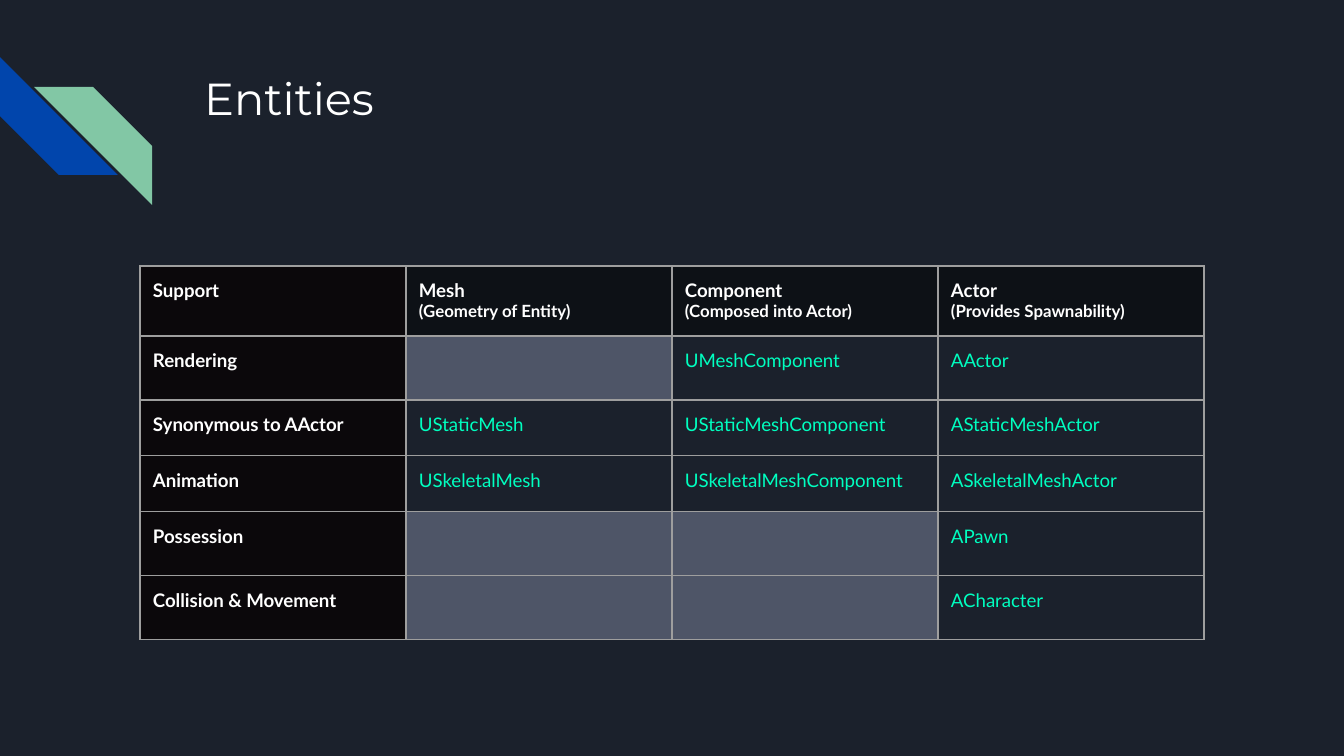
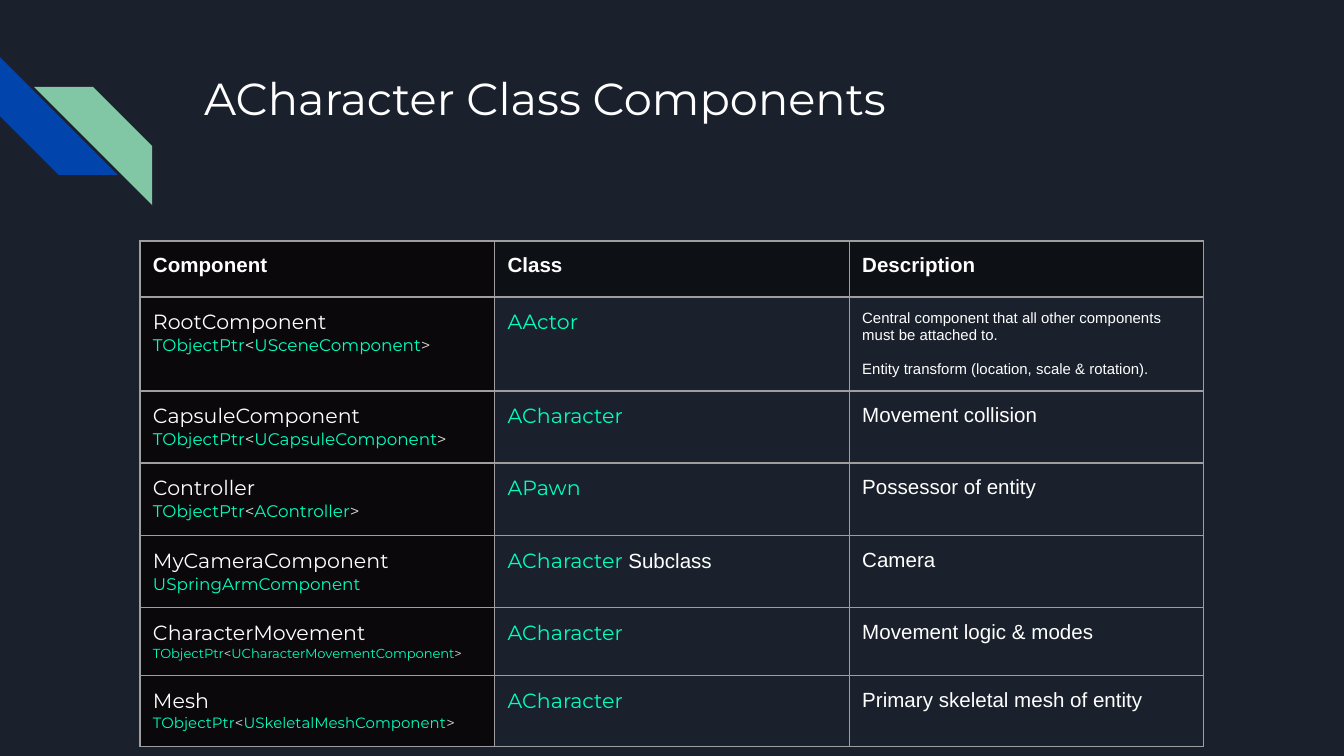
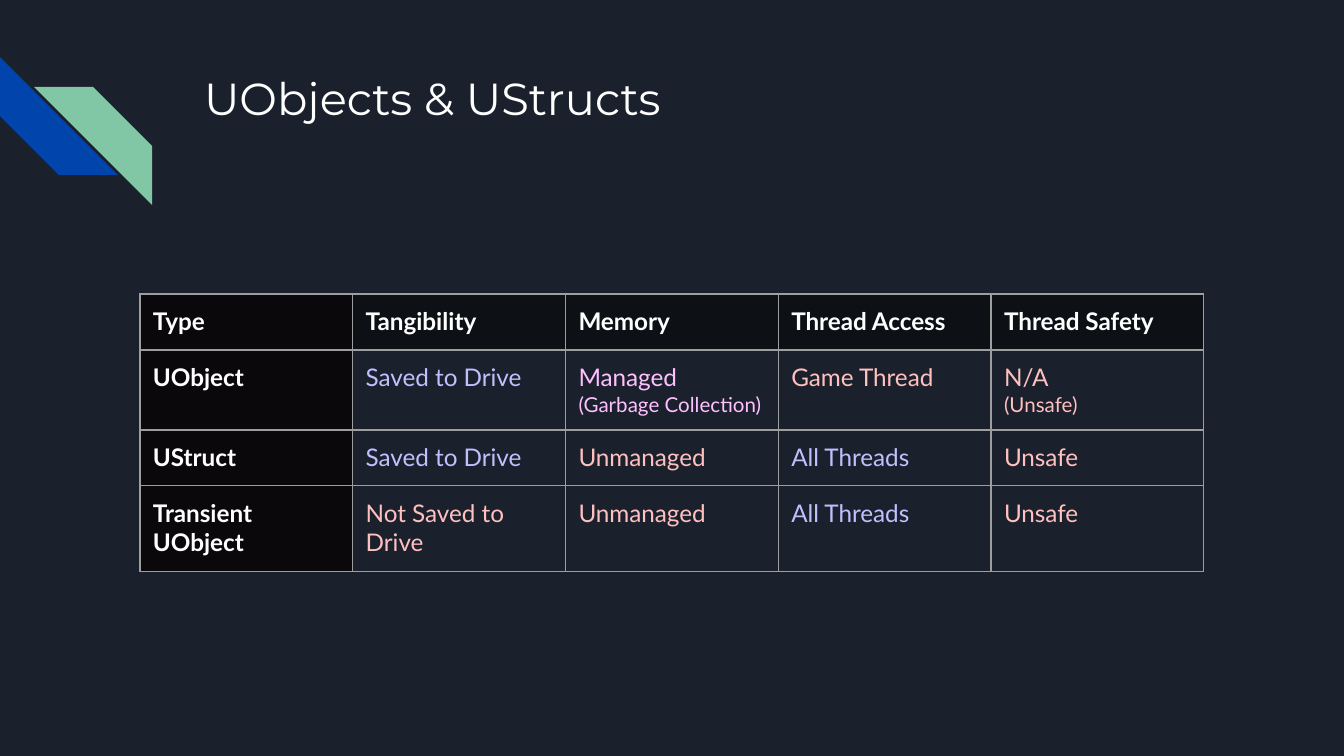
from dataclasses import dataclass

from lxml import etree
from pptx import Presentation
from pptx import util as u
from pptx.dml.color import RGBColor
from pptx.enum import shapes, text
from pptx.oxml.ns import qn

EMU_PER_PX = 914400 / 134.4
SLIDE_SIZE = (1344, 756)
TITLE_BOX = (191, 58, 1035, 134)
TABLE_LEFT, TABLE_WIDTH = 140, 1064
INSET = 13
BORDER_POINTS = 0.75

COLORS = {
    "background": "1B212C",
    "blue": "0145AC",
    "green": "82C7A5",
    "white": "FFFFFF",
    "bracket": "D9D9D9",
    "class": "00FFC0",
    "lilac": "C0C0FF",
    "pink": "FFC0FF",
    "salmon": "FFC0C0",
    "first_column": "0B080B",
    "header": "0D1116",
    "empty": "4E5567",
    "border": "9E9E9E",
}


@dataclass
class Run:
    text: str
    color: str = "white"
    size: int = 10
    font: str = "Lato"
    bold: bool = False


def px(length):
    return u.Emu(round(length * EMU_PER_PX))


def rgb(name):
    return RGBColor.from_string(COLORS[name])


def add_run(paragraph, item):
    run = paragraph.add_run()
    run.text = item.text
    run.font.size = u.Pt(item.size)
    run.font.name = item.font
    run.font.bold = item.bold
    run.font.color.rgb = rgb(item.color)


def set_insets(frame):
    frame.margin_left = frame.margin_right = px(INSET)
    frame.margin_top = frame.margin_bottom = px(INSET)


def add_stripe(slide, left, top, rotation, color):
    side = 118
    stripe = slide.shapes.add_shape(
        shapes.MSO_SHAPE.DIAGONAL_STRIPE, px(left), px(top), px(side), px(side))
    stripe.rotation = rotation
    stripe.shadow.inherit = False
    stripe.fill.solid()
    stripe.fill.fore_color.rgb = rgb(color)
    stripe.line.fill.background()
    return stripe


def share_stripes(slide):
    """Draw the corner stripes and move them to the layout all slides use."""
    for stripe in (add_stripe(slide, 0, 57, 270, "blue"),
                   add_stripe(slide, 34, 87, 90, "green")):
        slide.slide_layout.shapes._spTree.append(stripe._element)


def add_title(slide, wording):
    title = slide.shapes.title
    title.left, title.top, title.width, title.height = map(px, TITLE_BOX)
    frame = title.text_frame
    set_insets(frame)
    frame.word_wrap = True
    frame.auto_size = text.MSO_AUTO_SIZE.NONE
    frame.vertical_anchor = text.MSO_ANCHOR.TOP
    paragraph = frame.paragraphs[0]
    paragraph.alignment = text.PP_ALIGN.LEFT
    add_run(paragraph, Run(wording, size=24, font="Montserrat"))


def add_borders(cell):
    properties = cell._tc.get_or_add_tcPr()
    for side in ("lnL", "lnR", "lnT", "lnB"):
        line = etree.SubElement(properties, qn(f"a:{side}"), w=str(u.Pt(BORDER_POINTS)))
        fill = etree.SubElement(line, qn("a:solidFill"))
        etree.SubElement(fill, qn("a:srgbClr"), val=COLORS["border"])


def fill_cell(cell, paragraphs, fill, gap):
    """Write a cell; a cell without paragraphs is greyed out."""
    set_insets(cell)
    add_borders(cell)
    if not paragraphs:
        fill = "empty"
        etree.SubElement(cell.text_frame.paragraphs[0]._p, qn("a:endParaRPr"), sz="1000")
    if fill:
        cell.fill.solid()
        cell.fill.fore_color.rgb = rgb(fill)
    else:
        cell.fill.background()
    for index, runs in enumerate(paragraphs):
        if index:
            paragraph = cell.text_frame.add_paragraph()
            paragraph.space_before = u.Pt(gap)
        else:
            paragraph = cell.text_frame.paragraphs[0]
        for item in runs:
            add_run(paragraph, item)


def add_grid(slide, top, heights, rows, gaps=None):
    """Add a table of equal columns; gaps maps (row, column) to paragraph space."""
    columns = len(rows[0])
    table = slide.shapes.add_table(
        len(rows), columns, px(TABLE_LEFT), px(top), px(TABLE_WIDTH), px(sum(heights))).table
    table.first_row = table.horz_banding = False
    for column in table.columns:
        column.width = px(TABLE_WIDTH / columns)
    for row, height in zip(table.rows, heights):
        row.height = px(height)
    for r, row in enumerate(rows):
        for c, paragraphs in enumerate(row):
            fill = "first_column" if c == 0 else "header" if r == 0 else None
            fill_cell(table.cell(r, c), paragraphs, fill, (gaps or {}).get((r, c), 0))


def entities(slide):
    def label(name, note=None):
        lines = [[Run(name, bold=True)]]
        return lines + [[Run(note, size=9, bold=True)]] if note else lines

    def classes(*names):
        return [[[Run(name, "class")]] if name else [] for name in names]

    add_title(slide, "Entities")
    add_grid(slide, 266, (70, 64, 56, 56, 64, 64), [
        [label("Support"), label("Mesh", "(Geometry of Entity)"),
         label("Component", "(Composed into Actor)"),
         label("Actor", "(Provides Spawnability)")],
        [label("Rendering"), *classes(None, "UMeshComponent", "AActor")],
        [label("Synonymous to AActor"),
         *classes("UStaticMesh", "UStaticMeshComponent", "AStaticMeshActor")],
        [label("Animation"),
         *classes("USkeletalMesh", "USkeletalMeshComponent", "ASkeletalMeshActor")],
        [label("Possession"), *classes(None, None, "APawn")],
        [label("Collision & Movement"), *classes(None, None, "ACharacter")],
    ])


def character_components(slide):
    def code(wording, color="class", size=11):
        return Run(wording, color, size, "Montserrat")

    def plain(wording, size=11, bold=False):
        return Run(wording, "white", size, "Arial", bold)

    def pointer(target, size=9):
        return [code("TObjectPtr", size=size), code("<", "bracket", size),
                code(target, size=size), code(">", "bracket", size)]

    def component(name, kind, owner, *description, suffix=()):
        return [[[code(name, "white")], kind], [[code(owner), *suffix]],
                [[item] for item in description]]

    add_title(slide, "ACharacter Class Components")
    add_grid(slide, 241, (56, 94, 72, 73, 72, 68, 71), [
        [[[plain(name, bold=True)]] for name in ("Component", "Class", "Description")],
        component("RootComponent", pointer("USceneComponent"), "AActor",
                  plain("Central component that all other components must be attached to.", 8),
                  plain("Entity transform (location, scale & rotation).", 8)),
        component("CapsuleComponent", pointer("UCapsuleComponent"), "ACharacter",
                  plain("Movement collision")),
        component("Controller", pointer("AController"), "APawn",
                  plain("Possessor of entity")),
        component("MyCameraComponent", [code("USpringArmComponent", size=9)], "ACharacter ",
                  plain("Camera"), suffix=[plain("Subclass")]),
        component("CharacterMovement", pointer("UCharacterMovementComponent", 7), "ACharacter",
                  plain("Movement logic & modes")),
        component("Mesh", pointer("USkeletalMeshComponent", 8), "ACharacter",
                  plain("Primary skeletal mesh of entity")),
    ], gaps={(1, 2): 9})


def objects_and_structs(slide):
    def label(name):
        return [[Run(name, size=13, bold=True)]]

    def trait(color, name, note=None):
        lines = [[Run(name, color, 13)]]
        return lines + [[Run(note, color, 11)]] if note else lines

    saved = trait("lilac", "Saved to Drive")
    unmanaged = trait("salmon", "Unmanaged")
    all_threads = trait("lilac", "All Threads")
    unsafe = trait("salmon", "Unsafe")

    add_title(slide, "UObjects & UStructs")
    add_grid(slide, 294, (56, 80, 56, 86), [
        [label(name) for name in
         ("Type", "Tangibility", "Memory", "Thread Access", "Thread Safety")],
        [label("UObject"), saved, trait("pink", "Managed", "(Garbage Collection)"),
         trait("salmon", "Game Thread"), trait("salmon", "N/A", "(Unsafe)")],
        [label("UStruct"), saved, unmanaged, all_threads, unsafe],
        [label("Transient UObject"), trait("salmon", "Not Saved to Drive"),
         unmanaged, all_threads, unsafe],
    ])


def main():
    presentation = Presentation()
    presentation.slide_width, presentation.slide_height = map(px, SLIDE_SIZE)
    background = presentation.slide_master.background.fill
    background.solid()
    background.fore_color.rgb = rgb("background")
    title_only = presentation.slide_layouts[5]
    for index, build in enumerate((entities, character_components, objects_and_structs)):
        slide = presentation.slides.add_slide(title_only)
        if index == 0:
            share_stripes(slide)
        build(slide)
    presentation.save("out.pptx")


if __name__ == "__main__":
    main()
